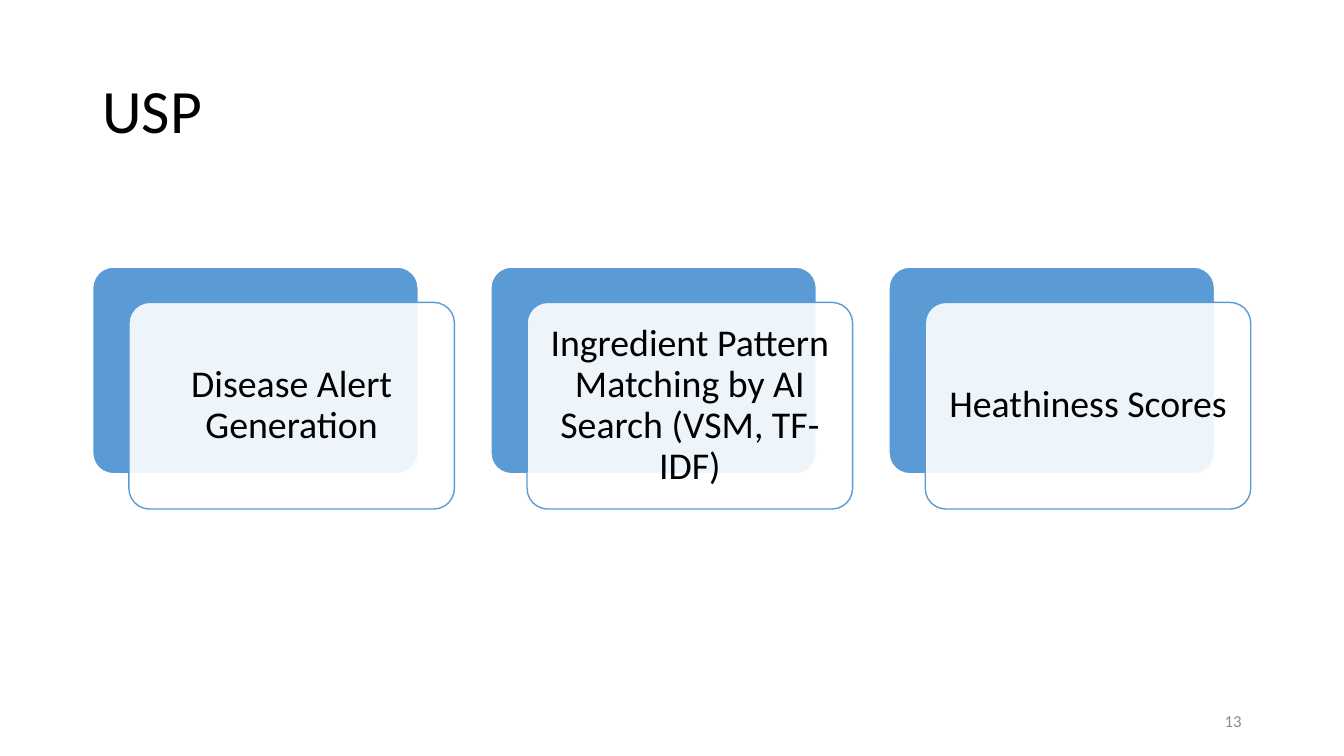
"""Build the USP slide with three layered cards."""
from lxml import etree
from pptx import Presentation
from pptx.dml.color import RGBColor
from pptx.enum.shapes import MSO_SHAPE
from pptx.enum.text import MSO_ANCHOR, PP_ALIGN
from pptx.oxml.ns import qn
from pptx.util import Pt

TITLE = "USP"
FEATURES = [
    "Disease Alert Generation",
    "Ingredient Pattern Matching by AI Search (VSM, TF-IDF)",
    "Heathiness Scores",
]
PAGE_NUMBER = "13"

FONT = "Calibri"
BLACK = RGBColor(0x00, 0x00, 0x00)
WHITE = RGBColor(0xFF, 0xFF, 0xFF)
BLUE = RGBColor(0x5B, 0x9B, 0xD5)
GRAY = RGBColor(0x8C, 0x8C, 0x8C)
ROUNDED = MSO_SHAPE.ROUNDED_RECTANGLE
MIDDLE = MSO_ANCHOR.MIDDLE
LEFT, CENTER, RIGHT = PP_ALIGN.LEFT, PP_ALIGN.CENTER, PP_ALIGN.RIGHT

CARD_LEFT, CARD_TOP = 66.24, 190.8
CARD_WIDTH, CARD_HEIGHT = 232.5, 147.6
CARD_STEP = 284.4
SHIFT_X, SHIFT_Y = 25.9, 25.2
CARD_INSET = 7.92


def write(shape, text, size, color, align, spacing=1.0):
    frame = shape.text_frame
    frame.word_wrap = True
    frame.vertical_anchor = MIDDLE
    para = frame.paragraphs[0]
    para.alignment = align
    para.line_spacing = spacing
    span = para.add_run()
    span.text = text
    span.font.name = FONT
    span.font.size = Pt(size)
    span.font.color.rgb = color


def add_label(page, bounds, *style):
    box = page.shapes.add_textbox(*map(Pt, bounds))
    write(box, *style)


def add_card(page, left, top, fill, line):
    bounds = map(Pt, (left, top, CARD_WIDTH, CARD_HEIGHT))
    card = page.shapes.add_shape(ROUNDED, *bounds)
    card.adjustments[0] = 0.1
    card.shadow.inherit = False
    card.fill.solid()
    card.fill.fore_color.rgb = fill
    card.line.color.rgb = line
    card.line.width = Pt(1)
    return card


def set_opacity(shape, percent):
    color = shape.fill._xPr.find(qn("a:solidFill"))[0]
    etree.SubElement(color, qn("a:alpha"), val=str(percent * 1000))


def add_feature(page, left, text):
    add_card(page, left, CARD_TOP, BLUE, WHITE)
    front = add_card(page, left + SHIFT_X, CARD_TOP + SHIFT_Y, WHITE, BLUE)
    set_opacity(front, 90)
    frame = front.text_frame
    frame.margin_left = frame.margin_right = Pt(CARD_INSET)
    frame.margin_top = frame.margin_bottom = Pt(CARD_INSET)
    write(front, text, 27, BLACK, CENTER, 0.9)


def main():
    deck = Presentation()
    deck.slide_width, deck.slide_height = Pt(960), Pt(540)
    page = deck.slides.add_slide(deck.slide_layouts[6])
    add_label(page, (66, 28.8, 828, 104.4), TITLE, 44, BLACK, LEFT, 0.9)
    for index, feature in enumerate(FEATURES):
        add_feature(page, CARD_LEFT + index * CARD_STEP, feature)
    add_label(page, (678, 500.5, 216, 28.8), PAGE_NUMBER, 12, GRAY, RIGHT)
    deck.save("out.pptx")


if __name__ == "__main__":
    main()
